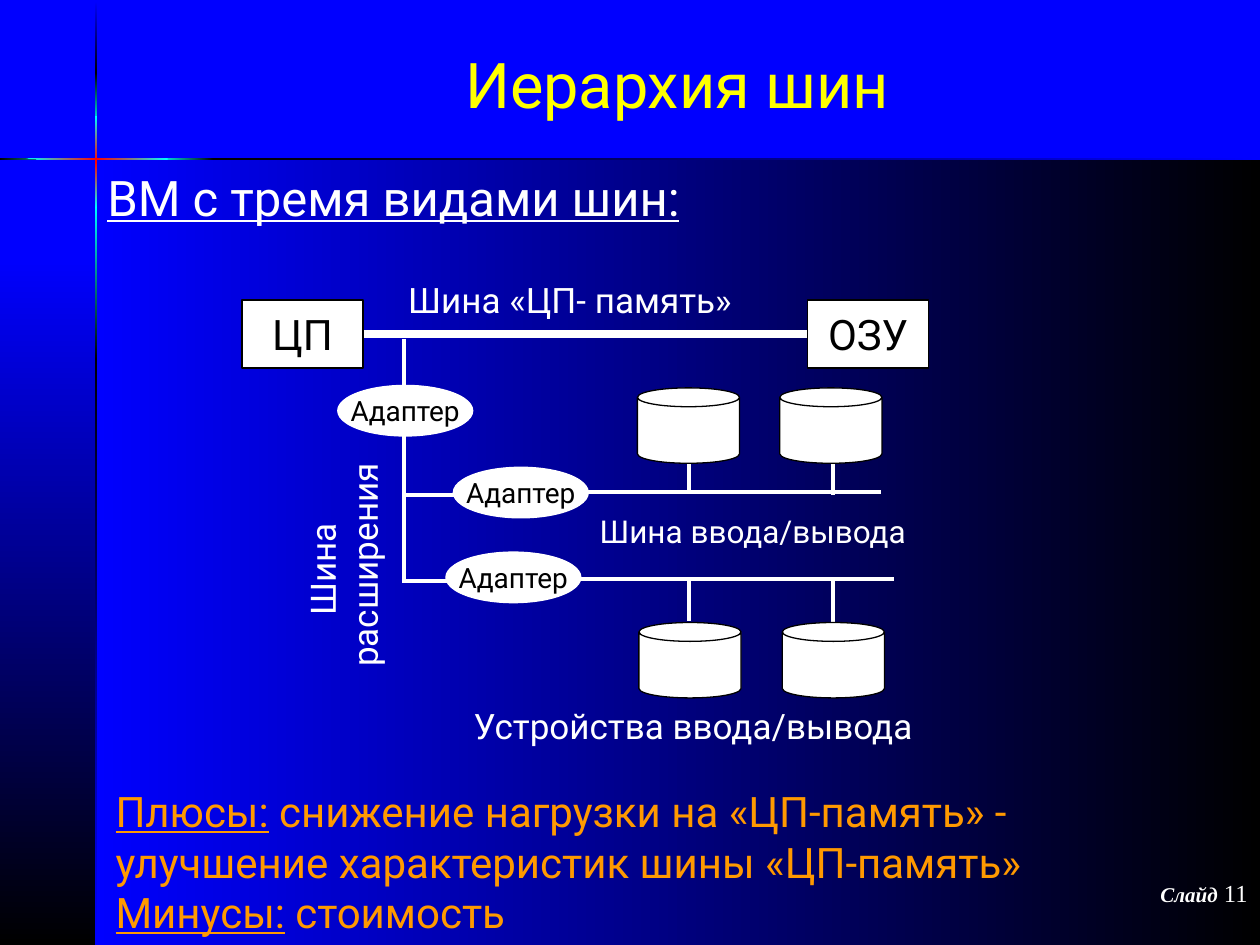
from lxml.etree import SubElement
from pptx import Presentation
from pptx.dml.color import RGBColor
from pptx.enum.shapes import MSO_CONNECTOR, MSO_SHAPE
from pptx.enum.text import MSO_ANCHOR, MSO_AUTO_SIZE, PP_ALIGN
from pptx.oxml.ns import qn
from pptx.util import Cm, Pt

BLUE, BLACK, CYAN, RED = "0000FF", "000000", "00FFFF", "FF0000"
WHITE, YELLOW, ORANGE = "FFFFFF", "FFFF00", "FF9900"


def rgb(color):
    return RGBColor.from_string(color)


def add_run(p, text, size, color, underline=False, font="Roboto"):
    r = p.add_run()
    r.text = text
    r.font.name, r.font.size, r.font.underline = font, Pt(size), underline
    r.font.color.rgb = rgb(color)
    return r


prs = Presentation()
prs.slide_width, prs.slide_height = Cm(25.4), Cm(19.05)
s = prs.slides.add_slide(prs.slide_layouts[1])
s.background.fill.solid()
s.background.fill.fore_color.rgb = rgb(BLUE)

# Backdrop: two panels and the thin crossing rays
backdrop = []
for x, y, w, h, angle, colors in [
    (1.91, 3.18, 23.49, 15.87, 0, [BLUE, BLACK]),
    (0, 5.13, 1.91, 13.92, 90, [BLUE, BLACK]),
    (1.91, 0.03, 0.05, 1.45, 90, [BLUE, BLACK]),
    (1.91, 7.16, 0.05, 11.89, 90, [BLACK, BLUE]),
    (1.91, 4.14, 0.05, 3.1, 90, [CYAN, BLACK]),
    (1.91, 1.47, 0.05, 1.12, 90, [BLACK, CYAN]),
    (1.91, 2.34, 0.05, 1.85, 90, [CYAN, RED, CYAN]),
    (0, 3.18, 1.55, 0.05, 0, [BLACK, CYAN]),
    (4.24, 3.18, 21.16, 0.05, 0, [BLACK, BLUE]),
    (3.18, 3.18, 1.12, 0.05, 0, [CYAN, BLACK]),
]:
    panel = s.shapes.add_shape(MSO_SHAPE.RECTANGLE, Cm(x), Cm(y), Cm(w), Cm(h))
    backdrop.append((panel, angle, colors))

ray = s.shapes.build_freeform(Cm(0.53), Cm(3.2))
ray.add_line_segments([(Cm(x), Cm(y)) for x, y in
                       [(1.52, 3.23), (3.38, 3.23), (3.38, 3.18), (1.52, 3.18)]])
backdrop.append((ray.convert_to_shape(), 0, [CYAN, RED, CYAN]))

for shape, angle, colors in backdrop:
    shape.shadow.inherit = False
    shape.line.fill.background()
    shape.fill.gradient()
    shape.fill.gradient_angle = -angle % 360
    stops = shape._element.spPr.find(qn("a:gradFill")).find(qn("a:gsLst"))
    for stop in list(stops):
        stops.remove(stop)
    for i, color in enumerate(colors):
        stop = SubElement(stops, qn("a:gs"), pos=str(100000 * i // (len(colors) - 1)))
        SubElement(stop, qn("a:srgbClr"), val=color)

# Title and heading, raised above the backdrop
title, body = s.shapes.title, s.placeholders[1]
for ph, x, y, w, h in [(title, 1.91, 0.2, 23.49, 2.97), (body, 1.91, 3.38, 12.67, 1.42)]:
    s.shapes._spTree.append(ph._element)
    ph.left, ph.top, ph.width, ph.height = Cm(x), Cm(y), Cm(w), Cm(h)
    ph.text_frame.auto_size = MSO_AUTO_SIZE.NONE
title.text_frame.vertical_anchor = MSO_ANCHOR.MIDDLE
p = title.text_frame.paragraphs[0]
p.alignment = PP_ALIGN.CENTER
add_run(p, "Иерархия шин", 36, YELLOW)
p = body.text_frame.paragraphs[0]
p.line_spacing, p.space_before = 0.9, Pt(7)
pPr = p._p.get_or_add_pPr()
pPr.set("marL", "0")
pPr.set("indent", "0")
SubElement(pPr, qn("a:buNone"))
add_run(p, "ВМ с тремя видами шин:", 28, WHITE, underline=True)

# Bus lines
for x1, y1, x2, y2, width in [
    (16.51, 6.73, 6.96, 6.73, 4.5),
    (8.15, 6.83, 8.15, 7.82, 2.25),
    (8.15, 8.74, 8.15, 11.71, 2.25),
    (8.18, 9.98, 9.17, 9.98, 2.25),
    (8.1, 11.71, 9.09, 11.71, 2.25),
    (11.86, 9.91, 17.75, 9.91, 2.25),
    (11.68, 11.68, 18.03, 11.68, 2.25),
    (13.89, 8.97, 13.89, 9.96, 2.25),
    (16.79, 8.99, 16.79, 9.98, 2.25),
    (13.89, 11.71, 13.89, 12.52, 2.25),
    (16.79, 11.71, 16.79, 12.55, 2.25),
]:
    line = s.shapes.add_connector(MSO_CONNECTOR.STRAIGHT, Cm(x1), Cm(y1), Cm(x2), Cm(y2))
    line.line.color.rgb = rgb(WHITE)
    line.line.width = Pt(width)
    SubElement(line._element.spPr, qn("a:effectLst"))

# Processor, memory, adapters and devices
BOX = (MSO_SHAPE.RECTANGLE, 2.44, 1.37, BLACK, 24)
ADAPTER = (MSO_SHAPE.OVAL, 2.72, 1.02, WHITE, 16)
DEVICE = (MSO_SHAPE.CAN, 2.06, 1.52, BLACK, 16)
for (kind, w, h, outline, size), x, y, text in [
    (BOX, 4.88, 6.05, "ЦП"),
    (BOX, 16.28, 6.05, "ОЗУ"),
    (ADAPTER, 6.81, 7.77, "Адаптер"),
    (ADAPTER, 9.14, 9.42, "Адаптер"),
    (ADAPTER, 8.99, 11.13, "Адаптер"),
    (DEVICE, 12.85, 7.82, ""),
    (DEVICE, 15.72, 7.82, ""),
    (DEVICE, 12.88, 12.55, ""),
    (DEVICE, 15.77, 12.55, ""),
]:
    node = s.shapes.add_shape(kind, Cm(x), Cm(y), Cm(w), Cm(h))
    node.shadow.inherit = False
    node.fill.solid()
    node.fill.fore_color.rgb = rgb(WHITE)
    node.line.color.rgb = rgb(outline)
    node.line.width = Pt(0.75)
    if text:
        tf = node.text_frame
        tf.word_wrap = False
        tf.vertical_anchor = MSO_ANCHOR.MIDDLE
        tf.paragraphs[0].alignment = PP_ALIGN.CENTER
        add_run(tf.paragraphs[0], text, size, BLACK)

# Bus labels
for x, y, w, h, size, text in [
    (7.98, 5.49, 7.42, 1.12, 20, "Шина «ЦП- память»"),
    (11.84, 10.19, 6.91, 1.02, 18, "Шина ввода/вывода"),
    (9.3, 14.07, 9.5, 1.12, 20, "Устройства ввода/вывода"),
]:
    label = s.shapes.add_textbox(Cm(x), Cm(y), Cm(w), Cm(h))
    label.text_frame.word_wrap = False
    add_run(label.text_frame.paragraphs[0], text, size, WHITE)

label = s.shapes.add_textbox(Cm(4.47), Cm(10.41), Cm(4.9), Cm(1.96))
label.rotation = 270
label.text_frame.word_wrap = False
p = label.text_frame.paragraphs[0]
p.alignment = PP_ALIGN.CENTER
add_run(p, "Шина ", 20, WHITE)
p.add_line_break()
add_run(p, "расширения", 20, WHITE)

# Pros and cons
tf = s.shapes.add_textbox(Cm(2.08), Cm(15.72), Cm(22.38), Cm(3.3)).text_frame
tf.word_wrap = True
p = tf.paragraphs[0]
add_run(p, "Плюсы:", 24, ORANGE, underline=True)
add_run(p, " снижение нагрузки на «ЦП-память» - улучшение характеристик шины «ЦП-память»",
        24, ORANGE)
p = tf.add_paragraph()
add_run(p, "Минусы:", 24, ORANGE, underline=True)
add_run(p, " стоимость", 24, ORANGE)

# Slide number
tf = s.shapes.add_textbox(Cm(20.12), Cm(17.58), Cm(5.28), Cm(1.27)).text_frame
tf.word_wrap = True
p = tf.paragraphs[0]
p.alignment = PP_ALIGN.RIGHT
r = add_run(p, "Слайд", 12, WHITE, font="Times New Roman")
r.font.bold = r.font.italic = True
add_run(p, " 11", 14, WHITE, font="Times New Roman")

prs.save("out.pptx")
